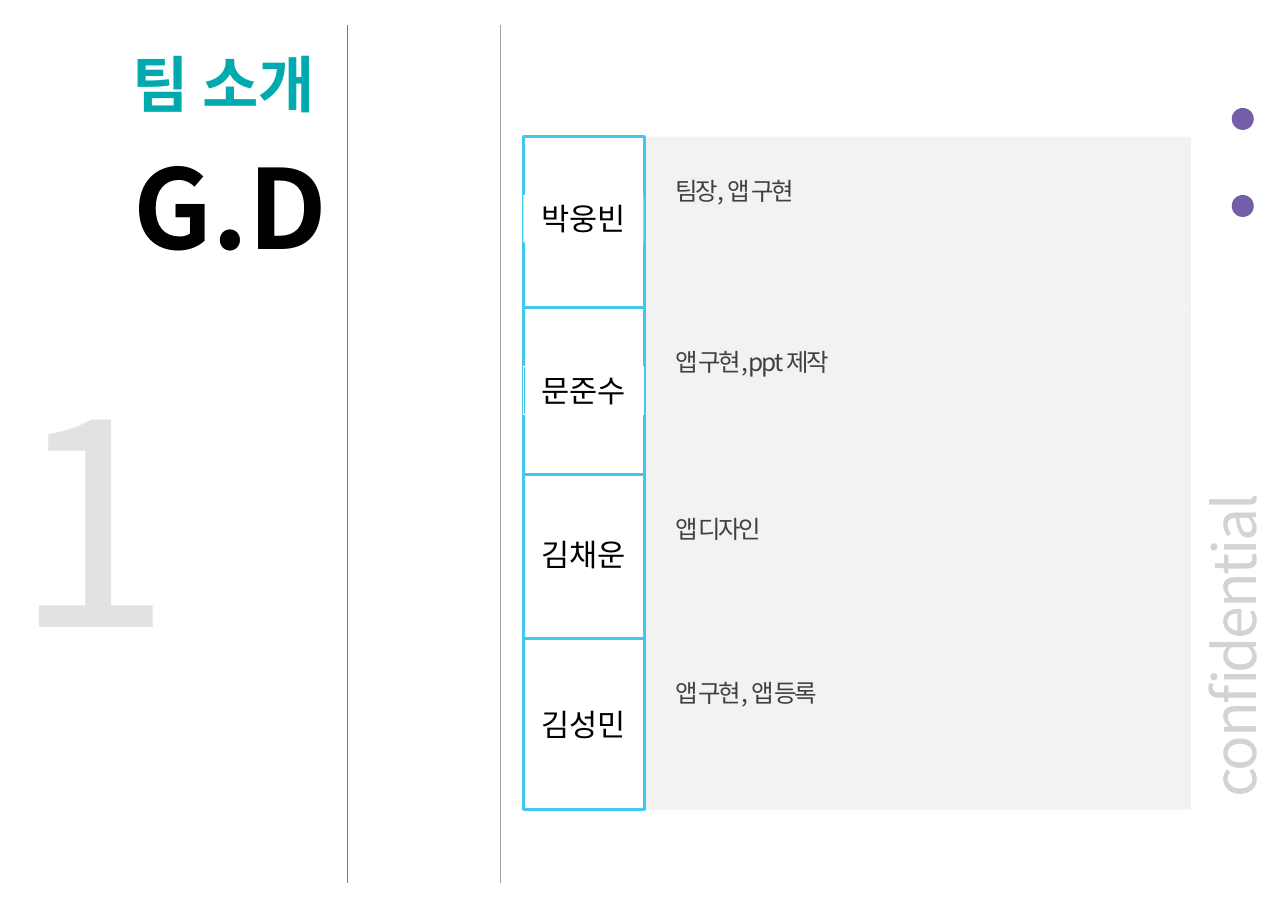
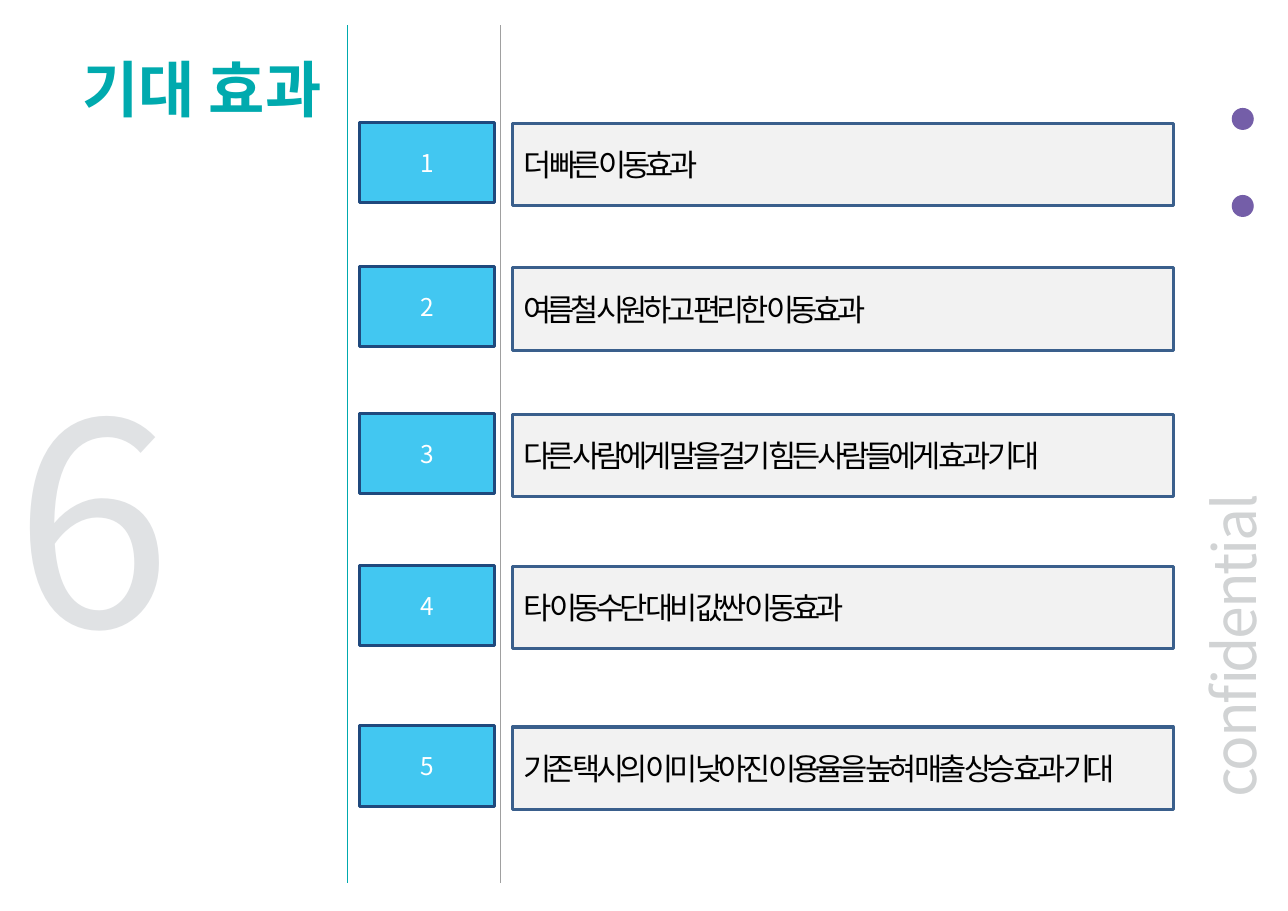
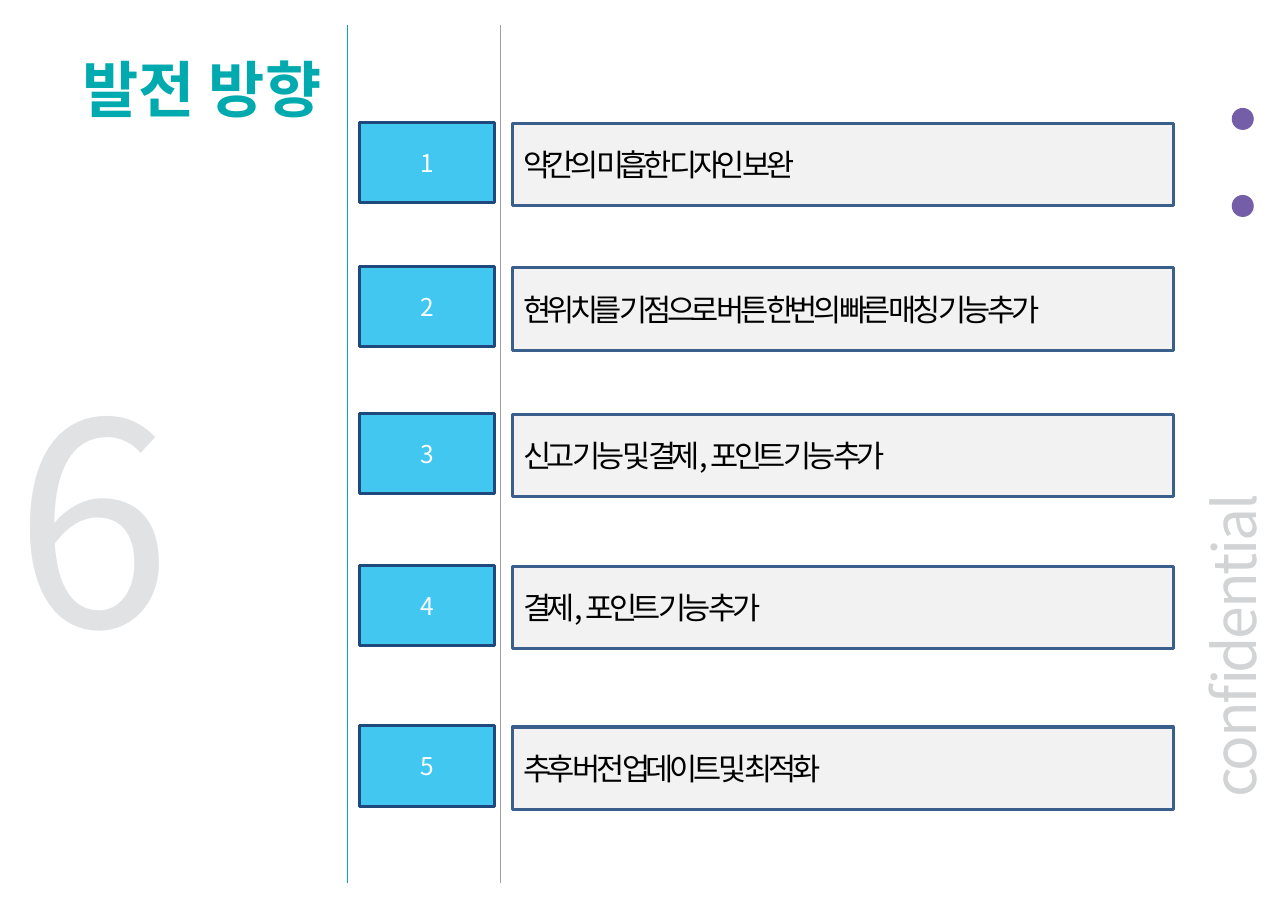
"""Build a team introduction and two numbered lists on a shared frame."""
import pptx
import pptx.dml.color
import pptx.enum.shapes
import pptx.enum.text
import pptx.oxml
import pptx.oxml.ns
import pptx.util

Inches = pptx.util.Inches
Pt = pptx.util.Pt
RGBColor = pptx.dml.color.RGBColor
ALIGN = pptx.enum.text.PP_ALIGN
ANCHOR = pptx.enum.text.MSO_ANCHOR
SHAPE = pptx.enum.shapes.MSO_SHAPE

TEAL = RGBColor(0x00, 0xAA, 0xAE)
PURPLE = RGBColor(0x74, 0x5E, 0xA8)
SKY = RGBColor(0x42, 0xC7, 0xF1)
NAVY = RGBColor(0x1F, 0x49, 0x7D)
STEEL = RGBColor(0x3A, 0x5F, 0x8C)
PANEL = RGBColor(0xF2, 0xF2, 0xF2)
RULE_GREY = RGBColor(0xA0, 0xA0, 0xA0)
STAMP_GREY = RGBColor(0xD1, 0xD3, 0xD4)
NUMERAL_GREY = RGBColor(0xE0, 0xE2, 0xE4)
CHARCOAL = RGBColor(0x40, 0x40, 0x40)
BLACK = RGBColor(0x00, 0x00, 0x00)
WHITE = RGBColor(0xFF, 0xFF, 0xFF)

FONT = "Noto Sans CJK KR"
FORMATS = {
    "title": {"color": TEAL, "font": {"size": Pt(40), "bold": True},
              "paragraph": {"line_spacing": Pt(46)}},
    "stamp": {"color": STAMP_GREY, "font": {"size": Pt(38.5)}, "spacing": -1.5,
              "paragraph": {"line_spacing": Pt(38.5)}},
    "numeral": {"color": NUMERAL_GREY, "font": {"size": Pt(185)}},
    "team": {"color": BLACK, "font": {"size": Pt(72), "bold": True},
             "paragraph": {"alignment": ALIGN.CENTER}},
    "name": {"color": BLACK, "font": {"size": Pt(20)},
             "paragraph": {"alignment": ALIGN.CENTER}},
    "role": {"color": CHARCOAL, "font": {"size": Pt(16)}, "spacing": -1.5,
             "paragraph": {"alignment": ALIGN.JUSTIFY}},
    "number": {"color": WHITE, "font": {"size": Pt(16)},
               "paragraph": {"alignment": ALIGN.CENTER}},
    "point": {"color": BLACK, "font": {"size": Pt(20)}, "spacing": -3,
              "paragraph": {"alignment": ALIGN.LEFT}},
}
NO_MARGINS = dict.fromkeys(
    ("margin_left", "margin_top", "margin_right", "margin_bottom"), 0)

MEMBERS = [
    ("박웅빈", "팀장, 앱 구현", 1.24, 1.77, {"fill": WHITE}),
    ("문준수", "앱 구현, ppt 제작", 2.79, 3.33, {"line": WHITE, "weight": 0.75}),
    ("김채운", "앱 디자인", 4.31, 4.82, {}),
    ("김성민", "앱 구현, 앱 등록", 5.8, 6.36, {}),
]
POINT_TOPS = [1.12, 2.43, 3.76, 5.14, 6.6]
POINT_SLIDES = {
    "기대 효과": [
        "더 빠른 이동효과",
        "여름철 시원하고 편리한 이동효과",
        "다른 사람에게 말을 걸기 힘든 사람들에게 효과 기대",
        "타 이동수단 대비 값싼 이동효과",
        "기존 택시의 이미 낮아진 이용율을 높혀 매출 상승 효과 기대",
    ],
    "발전 방향": [
        "약간의 미흡한 디자인 보완",
        "현위치를 기점으로 버튼 한번의 빠른 매칭 기능 추가",
        "신고 기능 및 결제, 포인트 기능 추가",
        "결제, 포인트 기능 추가",
        "추후 버전 업데이트 및 최적화",
    ],
}


def apply(target, values):
    """Set each named attribute on the target."""
    for attribute, value in values.items():
        setattr(target, attribute, value)


class Deck:
    """Hold the presentation, its style and the current slide."""

    def __init__(self):
        """Open an empty presentation of the right size."""
        self.presentation = pptx.Presentation()
        apply(self.presentation, {"slide_width": Inches(11.69),
                                  "slide_height": Inches(8.27)})
        self.slide = None

    def start(self, title, numeral, left, top):
        """Add a slide with the shared frame, its title and section numeral."""
        self.slide = self.presentation.slides.add_slide(
            self.presentation.slide_layouts[6])
        self.rule(3.15, TEAL)
        self.rule(4.54, RULE_GREY)
        for dot_top in (0.98, 1.77):
            self.shape((11.18, dot_top, 0.2, 0.2), SHAPE.OVAL, fill=PURPLE)
        self.text((0.13, 3.13, 2.4, 3.72), numeral, "numeral", NO_MARGINS)
        self.text((left, top, 3.15, 2.76), title, "title", NO_MARGINS)
        stamp = self.text((9.94, 5.41, 2.87, 0.79), "confidential", "stamp",
                          NO_MARGINS)
        stamp.rotation = 270

    def rule(self, x, color):
        """Draw a thin full-height vertical rule."""
        rule = self.slide.shapes.add_connector(
            pptx.enum.shapes.MSO_CONNECTOR.STRAIGHT,
            Inches(x), Inches(0.23), Inches(x), Inches(8.02))
        rule.line.color.rgb = color
        rule.line.width = Pt(0.25)
        rule._element.spPr.append(pptx.oxml.parse_xml(
            "<a:effectLst %s/>" % pptx.oxml.ns.nsdecls("a")))

    def shape(self, box, kind=SHAPE.RECTANGLE, fill=None, line=None, weight=2):
        """Draw a preset shape with an optional fill and outline."""
        shape = self.slide.shapes.add_shape(kind, *map(Inches, box))
        shape.shadow.inherit = False
        if fill is None:
            shape.fill.background()
        else:
            shape.fill.solid()
            shape.fill.fore_color.rgb = fill
        if line is None:
            shape.line.fill.background()
        else:
            shape.line.color.rgb = line
            shape.line.width = Pt(weight)
        return shape

    def text(self, box, wording, style, frame=None):
        """Add a text box in one of the named formats."""
        holder = self.slide.shapes.add_textbox(*map(Inches, box))
        self.label(holder, wording, style, frame or {})
        return holder

    def label(self, holder, wording, style, frame):
        """Put formatted wording into a shape or text box."""
        look = FORMATS[style]
        apply(holder.text_frame, {"word_wrap": True, **frame})
        paragraph = holder.text_frame.paragraphs[0]
        apply(paragraph, look.get("paragraph", {}))
        run = paragraph.add_run()
        run.text = wording
        apply(run.font, {"name": FONT, **look["font"]})
        run.font.color.rgb = look["color"]
        properties = run._r.get_or_add_rPr()
        if "spacing" in look:
            properties.set("spc", str(int(look["spacing"] * 100)))
        properties.append(pptx.oxml.parse_xml(
            '<a:ea %s typeface="%s"/>' % (pptx.oxml.ns.nsdecls("a"), FONT)))

    def member(self, name, role, top, name_top, plate):
        """Draw one team member's card."""
        self.shape((5.85, top, 4.96, 1.55), fill=PANEL)
        self.shape((4.75, top, 1.1, 1.55), fill=WHITE, line=SKY)
        name_plate = self.shape((4.75, name_top, 1.09, 0.43), **plate)
        self.label(name_plate, name, "name", {"vertical_anchor": ANCHOR.TOP})
        self.text((6.03, top + 0.31, 4.61, 0.37), role, "role")

    def point(self, number, wording, top):
        """Draw one numbered statement."""
        middle = {"vertical_anchor": ANCHOR.MIDDLE}
        statement = self.shape((4.65, top, 6, 0.75), fill=PANEL, line=STEEL)
        self.label(statement, wording, "point", middle)
        badge = self.shape((3.26, top - 0.01, 1.23, 0.73), fill=SKY, line=NAVY)
        self.label(badge, str(number), "number", middle)


def main():
    """Build and save the three slides."""
    deck = Deck()
    deck.start("팀 소개", "1", 1.2, 0.45)
    for member in MEMBERS:
        deck.member(*member)
    deck.text((0.85, 1.22, 2.48, 1.29), "G.D", "team")
    for title, points in POINT_SLIDES.items():
        deck.start(title, "6", 0.75, 0.49)
        for number, (wording, top) in enumerate(zip(points, POINT_TOPS), 1):
            deck.point(number, wording, top)
    deck.presentation.save("out.pptx")


if __name__ == "__main__":
    main()
